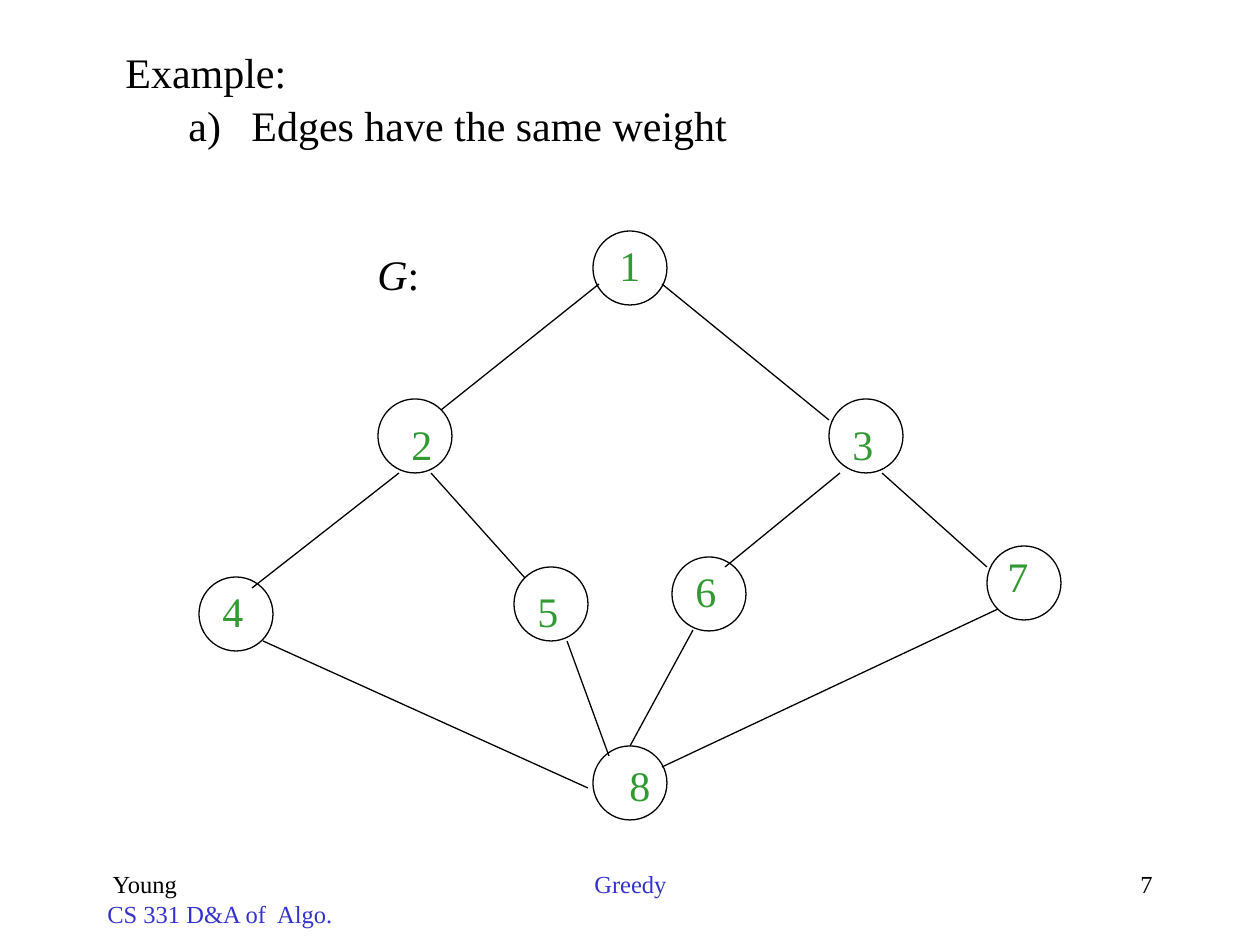
from dataclasses import dataclass

from lxml import etree
from pptx import Presentation
from pptx.dml.color import RGBColor
from pptx.enum.shapes import MSO_CONNECTOR, MSO_SHAPE
from pptx.enum.text import PP_ALIGN
from pptx.oxml.ns import qn
from pptx.util import Pt

LEFT, MID, RIGHT = PP_ALIGN.LEFT, PP_ALIGN.CENTER, PP_ALIGN.RIGHT
OVAL, LINE = MSO_SHAPE.OVAL, MSO_CONNECTOR.STRAIGHT
SCALE = 914400 / 126  # EMU in one px
TOP = 0  # connection site


@dataclass(frozen=True)
class Theme:
    font: str = "Times New Roman"
    body: int = 24
    foot: int = 14
    line: float = 0.75
    lead: float = 1.05
    ink: str = "000000"
    blue: str = "3333CC"
    green: str = "339933"


def emu(*vals):
    return [round(val * SCALE) for val in vals]


def apply(item, vals):
    for name, val in vals.items():
        setattr(item, name, val)


class Board:
    def __init__(self, slide, theme):
        self.slide, self.theme = slide, theme

    def stroke(self, item):
        item.line.width = Pt(self.theme.line)
        item.line.color.rgb = RGBColor.from_string(self.theme.ink)

    def text(self, box, paras, size, align=LEFT, wrap=True):
        """Each paragraph is a list of (words, colour, italic) runs."""
        frame = self.slide.shapes.add_textbox(*emu(*box)).text_frame
        frame.word_wrap = wrap
        for i, runs in enumerate(paras):
            para = frame.add_paragraph() if i else frame.paragraphs[0]
            apply(para, {"alignment": align, "line_spacing": self.theme.lead})
            for words, color, slant in runs:
                run = para.add_run()
                run.text = words
                apply(run.font, {"name": self.theme.font, "size": Pt(size),
                                 "italic": slant})
                run.font.color.rgb = RGBColor.from_string(color)
        return frame

    def indent(self, para, margin, hang, number=None):
        props = para._p.get_or_add_pPr()
        left, first = emu(margin, -hang)
        props.set("marL", str(left))
        props.set("indent", str(first))
        if number:
            font = etree.SubElement(props, qn("a:buFont"))
            font.set("typeface", self.theme.font)
            etree.SubElement(props, qn("a:buAutoNum")).set("type", number)

    def node(self, x, y, size):
        oval = self.slide.shapes.add_shape(OVAL, *emu(x, y, size, size))
        oval.shadow.inherit = False
        oval.fill.background()
        self.stroke(oval)
        return oval

    def edge(self, start, end):
        link = self.slide.shapes.add_connector(LINE, *emu(*start, *end))
        self.stroke(link)
        etree.SubElement(link._element.spPr, qn("a:effectLst"))
        return link


# Node number: circle corner, label corner
NODES = {
    1: ((593, 231), (607, 231)),
    2: ((378, 399), (399, 410)),
    3: ((829, 399), (840, 410)),
    4: ((199, 577), (210, 577)),
    5: ((514, 567), (525, 577)),
    6: ((672, 557), (683, 557)),
    7: ((987, 546), (995, 542)),
    8: ((593, 746), (617, 751)),
}
NODE = 74

# Edge between two nodes: start, end
EDGES = {
    (1, 2): ((599, 284), (441, 410)),
    (2, 4): ((399, 473), (252, 588)),
    (2, 5): ((431, 473), (525, 578)),
    (1, 3): ((662, 284), (829, 420)),
    (3, 6): ((840, 473), (725, 567)),
    (3, 7): ((882, 473), (987, 567)),
    (6, 8): ((693, 630), (630, 746)),
    (5, 8): ((567, 641), (609, 756)),
    (4, 8): ((263, 641), (588, 788)),
    (7, 8): ((998, 609), (662, 767)),
}


def main():
    deck = Presentation()
    wide, high = emu(1260, 945)
    apply(deck, {"slide_width": wide, "slide_height": high})
    theme = Theme()
    board = Board(deck.slides.add_slide(deck.slide_layouts[6]), theme)
    ink, blue = theme.ink, theme.blue

    # Footer
    feet = [
        (95, 262, LEFT, [(" Young", ink), ("CS 331 D&A of  Algo.", blue)]),
        (431, 399, MID, [("Greedy", blue)]),
        (903, 262, RIGHT, [("7", ink)]),
    ]
    for x, width, align, lines in feet:
        paras = [[(words, color, False)] for words, color in lines]
        board.text((x, 861, width, 63), paras, theme.foot, align)

    # Heading and graph name
    head = board.text((50, 38, 1168, 120),
                      [[("Example:", ink, False)],
                       [("Edges have the same weight", ink, False)]],
                      theme.body)
    board.indent(head.paragraphs[0], 126, 63)
    board.indent(head.paragraphs[1], 189, 63, "alphaLcParenR")
    board.text((365, 240, 80, 63), [[("G", ink, True), (":", ink, False)]],
               theme.body)

    # Graph
    ovals = {num: board.node(*spot, NODE) for num, (spot, _) in NODES.items()}
    for (_, last), (start, end) in EDGES.items():
        link = board.edge(start, end)
        x, y = NODES[last][0]
        if end == (x + NODE // 2, y):
            link.end_connect(ovals[last], TOP)
    for num, (_, spot) in NODES.items():
        board.text((*spot, 46, 63), [[(str(num), theme.green, False)]],
                   theme.body, wrap=False)

    deck.save("out.pptx")


if __name__ == "__main__":
    main()
